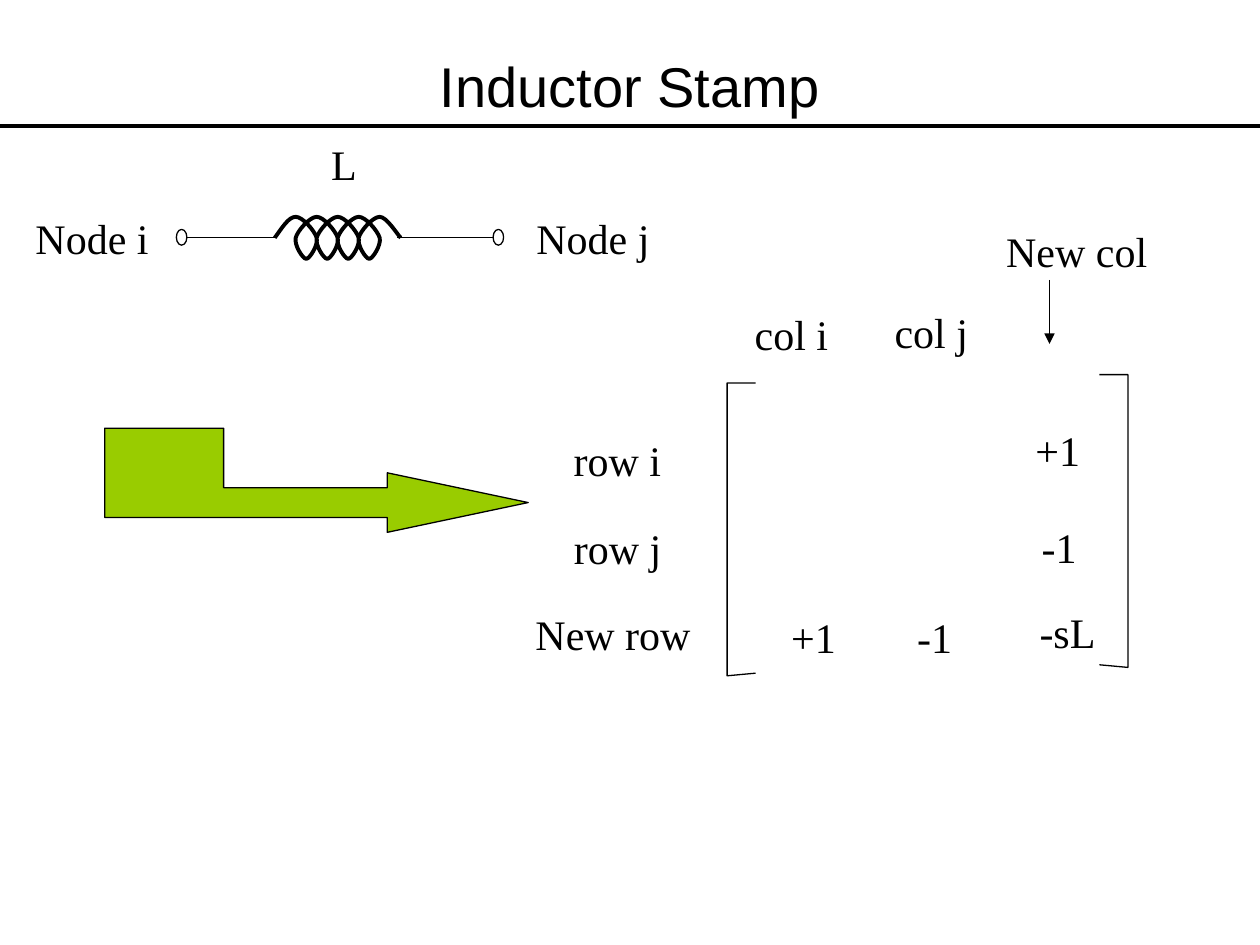
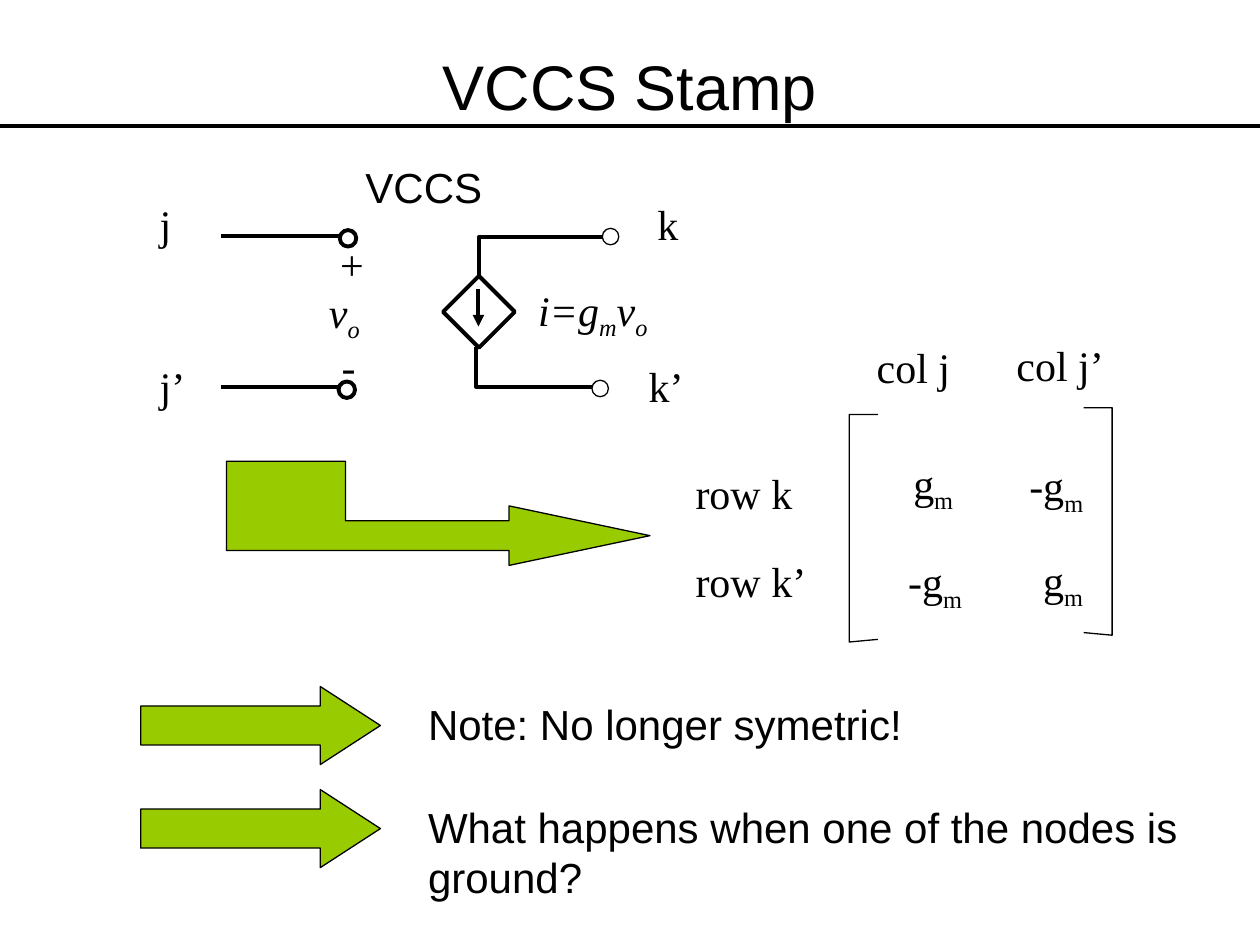
from lxml.etree import SubElement
from pptx import Presentation
from pptx.dml.color import RGBColor
from pptx.enum.shapes import MSO_CONNECTOR as Connector, MSO_SHAPE as Shape
from pptx.enum.text import MSO_ANCHOR as Anchor, MSO_AUTO_SIZE as AutoSize, PP_ALIGN as Align
from pptx.oxml.ns import qn
from pptx.util import Pt

BLACK, WHITE, GREEN = "000000", "FFFFFF", "99CC00"
SANS, SERIF = "Arial", "Times New Roman"
THIN, THICK = 0.75, 2.25
PAGE_WIDTH, PAGE_HEIGHT = 720, 540


def color(hex_code):
    return RGBColor.from_string(hex_code)


def add_text(page, left, top, width, text, height=36, font=SERIF, size=24,
             italic=False, wrap=False):
    """Add a text box; the character after each underscore is a subscript."""
    box = page.shapes.add_textbox(Pt(left), Pt(top), Pt(width), Pt(height))
    frame = box.text_frame
    frame.word_wrap = wrap
    frame.auto_size = AutoSize.NONE if wrap else AutoSize.SHAPE_TO_FIT_TEXT
    para = frame.paragraphs[0]

    def add_span(content, subscript=False):
        span = para.add_run()
        span.text = content
        span.font.name, span.font.size = font, Pt(size)
        span.font.italic = italic
        span.font.color.rgb = color(BLACK)
        if subscript:
            span.font._element.set("baseline", "-25000")

    first, *rest = text.split("_")
    add_span(first)
    for piece in rest:
        add_span(piece[0], subscript=True)
        if piece[1:]:
            add_span(piece[1:])
    return box


def add_labels(page, left, top, labels):
    for text, x, y, width in labels:
        add_text(page, left + x, top + y, width, text)


def style(shape, weight, fill=None):
    shape.shadow.inherit = False
    shape.line.color.rgb = color(BLACK)
    shape.line.width = Pt(weight)
    if fill:
        shape.fill.solid()
        shape.fill.fore_color.rgb = color(fill)
    else:
        shape.fill.background()


def add_preset(page, kind, left, top, width, height, weight=THIN, fill=None):
    shape = page.shapes.add_shape(kind, Pt(left), Pt(top), Pt(width), Pt(height))
    style(shape, weight, fill)
    return shape


def add_outline(page, left, top, points, weight=THIN, fill=None):
    """Draw a freeform through points; it is closed only when filled."""
    start, *others = [(Pt(left + x), Pt(top + y)) for x, y in points]
    builder = page.shapes.build_freeform(*start, scale=1.0)
    builder.add_line_segments(others, close=bool(fill))
    shape = builder.convert_to_shape()
    style(shape, weight, fill)
    return shape


def add_line(page, x1, y1, x2, y2, weight=THIN, arrow=False):
    line = page.shapes.add_connector(Connector.STRAIGHT, Pt(x1), Pt(y1), Pt(x2), Pt(y2))
    line.line.color.rgb = color(BLACK)
    line.line.width = Pt(weight)
    if arrow:
        SubElement(line.line._get_or_add_ln(), qn("a:tailEnd"), type="triangle")
    SubElement(line._element.spPr, qn("a:effectLst"))


def add_page(deck, title, size):
    page = deck.slides.add_slide(deck.slide_layouts[6])
    box = add_text(page, 36, 21.6, 648, title, height=54, font=SANS, size=size, wrap=True)
    box.text_frame.vertical_anchor = Anchor.MIDDLE
    box.text_frame.paragraphs[0].alignment = Align.CENTER
    add_line(page, 0, 72, PAGE_WIDTH, 72, THICK)
    return page


def add_elbow_arrow(page, left, top):
    add_outline(page, left, top, [
        (0, 0), (68, 0), (68, 34), (161.5, 34), (161.5, 25.5), (242, 42.5),
        (161.5, 59.5), (161.5, 51), (0, 51)], fill=GREEN)


def add_matrix(page, left, top, width, height, right_rise, labels):
    """Draw two brackets, the right one a little higher, with labels around them."""
    lip = 16.3
    for edge, inward, y in ((left, lip, top), (left + width, -lip, top - right_rise)):
        add_outline(page, edge, y,
                    [(inward, 0), (0, 0), (0, height), (inward, height - 1.5)])
    add_labels(page, left, top, labels)


def bend_segments(shape):
    """Turn every three straight segments of a freeform into one cubic curve."""
    outline = shape._element.find(".//" + qn("a:path"))
    segments = outline.findall(qn("a:lnTo"))
    for index in range(0, len(segments), 3):
        curve = SubElement(outline, qn("a:cubicBezTo"))
        for segment in segments[index:index + 3]:
            curve.append(segment[0])
            outline.remove(segment)


def add_coil(page, left, middle):
    pitch, loops = 12, 4
    loop = [(4, -12), (10.8, -4), (12, 0), (13, 4), (8, 12), (6, 12),
            (4, 12), (-1, 4), (0, 0), (1, -4), (8, -12), (12, -12)]
    points = [(0, 0), (4.3, -5.8), (7.9, -12), (12, -12)]
    for index in range(loops):
        points += [(x + pitch * (index + 1), y) for x, y in loop]
    points += [(64, -12), (70, -2), (72, 0)]
    bend_segments(add_outline(page, left, middle, points, THICK))


def add_inductor(page, left, top):
    middle = top + 60
    for x1, x2 in ((91.5, 143.5), (214, 271.5)):
        add_line(page, left + x1, middle, left + x2, middle)
    for x in (87.8, 268.8):
        add_preset(page, Shape.OVAL, left + x, middle - 4.5, 6, 9, fill=WHITE)
    for x in (114, 216):
        add_line(page, left + x, middle + 0.3, left + x + 30, middle + 0.3)
    add_coil(page, left + 144, middle + 0.3)
    add_labels(page, left, top, [
        ("L", 169.2, 0, 30), ("Node i", 0.2, 42.1, 81), ("Node j", 286.4, 42.1, 81)])


def add_controlled_source(page, left, top):
    for y, end in ((46.5, 110.4), (132.4, 109.7)):
        add_line(page, left + 42, top + y, left + end, top + y, THICK)
    add_preset(page, Shape.DIAMOND, left + 169.2, top + 69.1, 41, 41, THICK)
    add_outline(page, left + 190, top + 69, [(0, 0), (0, -22.4), (69.8, -22.4)], THICK)
    add_outline(page, left + 188, top + 110, [(0, 0), (0, 22.4), (67, 22.4)], THICK)
    for x, y, weight in ((109.5, 129.4, THICK), (110.2, 42.9, THICK),
                         (254.3, 128.7, THIN), (260.2, 41.9, THIN)):
        add_preset(page, Shape.OVAL, left + x, top + y, 9.4, 9.4, weight, WHITE)
    add_line(page, left + 189.4, top + 76.5, left + 189.4, top + 98, THICK, arrow=True)
    add_labels(page, left, top, [
        ("+", 103.3, 44, 29), ("-", 104.1, 102.3, 23),
        ("j", 0.2, 21.4, 22), ("j’", 0.2, 113.6, 30),
        ("k", 284.6, 21.4, 27), ("k’", 279.6, 113.6, 36)])
    add_text(page, left + 96.9, top + 71.4, 33, "v_o", height=40, italic=True)
    add_text(page, left + 216.4, top + 70.2, 79, "i=g_mv_o", height=40, italic=True)
    add_text(page, left + 117.8, top, 83, "VCCS", font=SANS)


def add_note(page, left, top, text, width, height=36, wrap=False):
    arrow = add_preset(page, Shape.RIGHT_ARROW, left, top, 137, 44.6, fill=GREEN)
    arrow.adjustments[1] = 0.77
    add_text(page, left + 157.1, top + 3.2, width, text, height, font=SANS, wrap=wrap)


def build_inductor_page(deck):
    page = add_page(deck, "Inductor Stamp", 32)
    add_inductor(page, 13, 75.6)
    left, top = 415.5, 218.9
    add_matrix(page, left, top, 229, 167.3, 4.8, [
        ("col i", 8.7, -46, 58), ("col j", 88.6, -47.4, 58), ("New col", 152.4, -93.6, 97),
        ("row i", -94.8, 26.1, 66), ("row j", -94.6, 76.2, 66),
        ("New row", -116.6, 125.5, 105),
        ("+1", 169.1, 20.1, 42), ("-1", 172.7, 75.6, 37),
        ("+1", 29.5, 126.9, 42), ("-1", 101.5, 126.9, 37), ("-sL", 171.4, 124, 49)])
    add_line(page, left + 184.2, top - 59, left + 184.2, top - 22.4, arrow=True)
    add_elbow_arrow(page, 59.8, 244.7)


def build_vccs_page(deck):
    page = add_page(deck, "VCCS Stamp", 36)
    add_controlled_source(page, 84, 88.6)
    add_matrix(page, 485.3, 236.9, 150.2, 130, 3.9, [
        ("col j", 8.6, -45.4, 58), ("col j’", 88.5, -46.7, 66),
        ("row k", -94.9, 26.6, 72), ("row k’", -94.9, 77, 80),
        ("g_m", 29.5, 20.9, 39), ("-g_m", 95.8, 22.3, 47),
        ("-g_m", 26.6, 77, 47), ("g_m", 103.7, 76.3, 39)])
    add_elbow_arrow(page, 129.4, 263.6)
    add_note(page, 80.4, 392.3, "Note: No longer symetric!", 287)
    add_note(page, 80.4, 451.2, "What happens when one of the nodes is ground?",
             464, height=65, wrap=True)


def main():
    deck = Presentation()
    deck.slide_width, deck.slide_height = Pt(PAGE_WIDTH), Pt(PAGE_HEIGHT)
    build_inductor_page(deck)
    build_vccs_page(deck)
    deck.save("out.pptx")


if __name__ == "__main__":
    main()
